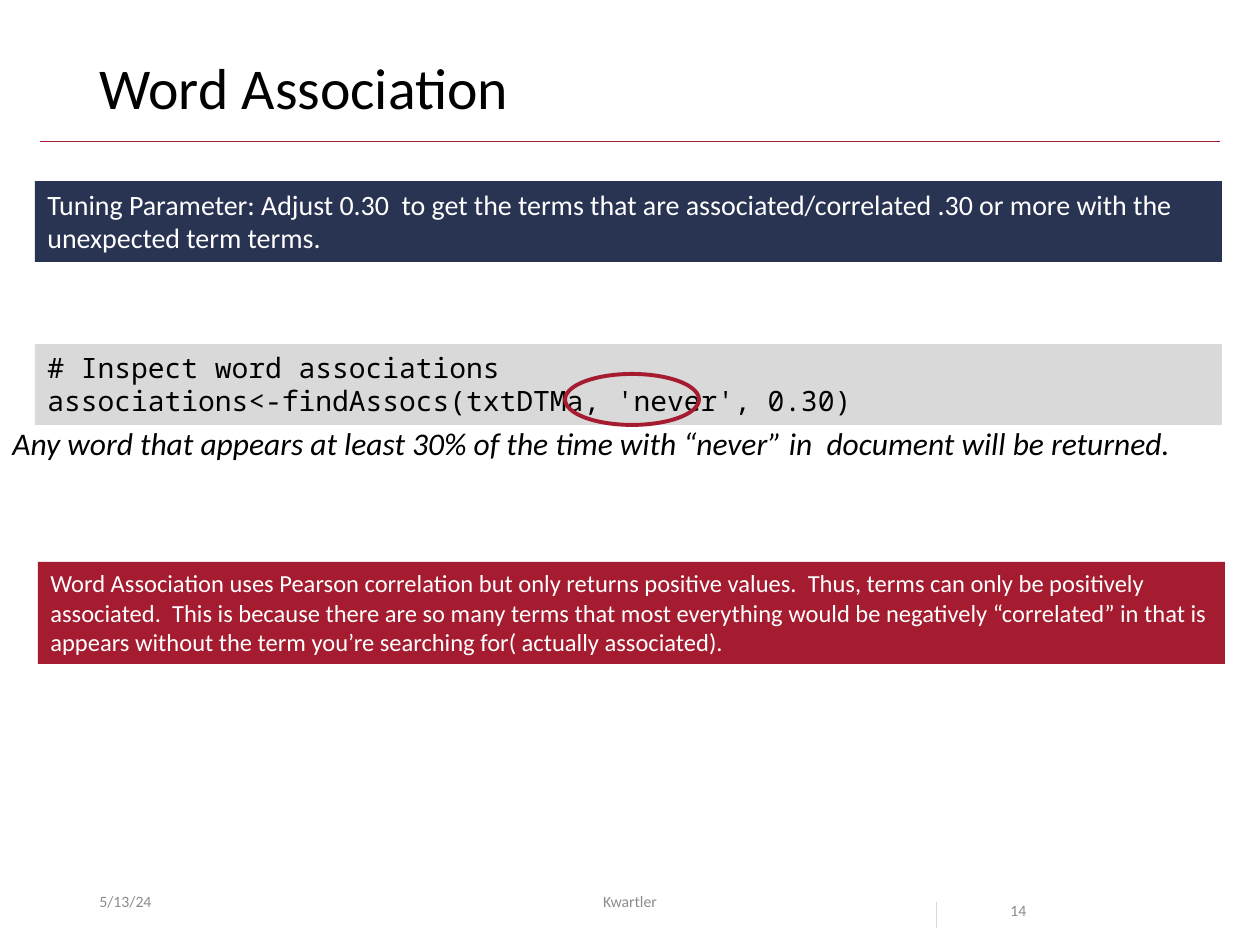
from pptx import Presentation
from pptx import util as u
from pptx.dml.color import RGBColor
from pptx.enum import shapes, text
from pptx.oxml.ns import qn
from lxml import etree

SCALE = 914400 / 126
CRIMSON, NAVY, GREY = "A51C30", "293352", "D9D9D9"
BLACK, WHITE, MUTED = "000000", "FFFFFF", "8C8C8C"


def px(*lengths):
    return [u.Emu(round(length * SCALE)) for length in lengths]


def colour(value):
    return RGBColor.from_string(value)


def format_text(frame, words, ink, frame_format=None, para_format=None, **font_format):
    for name, value in {"word_wrap": True, **(frame_format or {})}.items():
        setattr(frame, name, value)
    frame.text = words
    for para in frame.paragraphs:
        for name, value in {"alignment": text.PP_ALIGN.LEFT, **(para_format or {})}.items():
            setattr(para, name, value)
        for name, value in {"name": "Calibri", **font_format}.items():
            setattr(para.font, name, value)
        para.font.color.rgb = colour(ink)


def add_rule(page, ends, ink):
    rule = page.shapes.add_connector(shapes.MSO_CONNECTOR.STRAIGHT, *px(*ends))
    rule.line.color.rgb = colour(ink)
    rule.line.width = u.Pt(0.5)
    etree.SubElement(rule._element.spPr, qn("a:effectLst"))


def add_title(page, box, words):
    left, top, width, height = box
    title = page.shapes.title
    title.left, title.top, title.width, title.height = px(*box)
    format_text(title.text_frame, words, BLACK,
                {"vertical_anchor": text.MSO_ANCHOR.MIDDLE, "auto_size": text.MSO_AUTO_SIZE.NONE},
                {"line_spacing": 0.9}, size=u.Pt(33))
    add_rule(page, (left - 47, top + 91, left + width + 47, top + 91), CRIMSON)


def add_banner(parent, box, words, fill, ink, **font_format):
    banner = parent.shapes.add_shape(shapes.MSO_SHAPE.RECTANGLE, *px(*box))
    banner.shadow.inherit = False
    banner.fill.solid()
    banner.fill.fore_color.rgb = colour(fill)
    banner.line.fill.background()
    format_text(banner.text_frame, words, ink,
                {"auto_size": text.MSO_AUTO_SIZE.SHAPE_TO_FIT_TEXT,
                 "vertical_anchor": text.MSO_ANCHOR.TOP}, **font_format)


def add_code(page, box, words):
    left, top, width, height = box
    group = page.shapes.add_group_shape()
    add_banner(group, box, words, GREY, BLACK, name="Noto Sans Mono", size=u.Pt(16))
    ring = group.shapes.add_shape(shapes.MSO_SHAPE.OVAL, *px(left + 530, top + 30, 134, 51))
    ring.shadow.inherit = False
    ring.fill.background()
    ring.line.color.rgb = colour(CRIMSON)
    ring.line.width = u.Pt(2.25)


def add_label(page, box, words, ink, frame_format=None, para_format=None, **font_format):
    label = page.shapes.add_textbox(*px(*box))
    format_text(label.text_frame, words, ink, frame_format, para_format, **font_format)


def add_footer(page, box):
    left, top, width, height = box
    middle = {"vertical_anchor": text.MSO_ANCHOR.MIDDLE}
    parts = [
        (0, 284, "5/13/24", middle, {}),
        (330, 426, "Kwartler", middle, {"alignment": text.PP_ALIGN.CENTER}),
        (911, 118, "14", {}, {"line_spacing": 2.0}),
    ]
    for offset, part_width, words, frame_format, para_format in parts:
        add_label(page, (left + offset, top, part_width, height), words, MUTED,
                  frame_format, para_format, size=u.Pt(9))
    add_rule(page, (left + 849, top + 26, left + 849, top + 52), GREY)


def main():
    deck = Presentation()
    deck.slide_width, deck.slide_height = px(1260, 945)
    page = deck.slides.add_slide(deck.slide_layouts[5])
    add_title(page, (87, 50, 1086, 82), "Word Association")
    add_footer(page, (87, 876, 1086, 50))
    add_banner(page, (38, 562, 1187, 102),
               "Word Association uses Pearson correlation but only returns positive values.  "
               "Thus, terms can only be positively associated.  This is because there are so many "
               "terms that most everything would be negatively “correlated” in that is appears "
               "without the term you’re searching for( actually associated).",
               CRIMSON, WHITE, size=u.Pt(14))
    add_code(page, (35, 344, 1187, 81),
             "# Inspect word associations\nassociations<-findAssocs(txtDTMa, 'never', 0.30)")
    add_banner(page, (35, 181, 1187, 81),
               "Tuning Parameter: Adjust 0.30  to get the terms that are associated/correlated "
               ".30 or more with the unexpected term terms.", NAVY, WHITE, size=u.Pt(16))
    add_label(page, (0, 418, 1197, 50),
              "Any word that appears at least 30% of the time with “never” in  document "
              "will be returned.", BLACK,
              {"word_wrap": False, "auto_size": text.MSO_AUTO_SIZE.SHAPE_TO_FIT_TEXT},
              size=u.Pt(18), italic=True)
    deck.save("out.pptx")


if __name__ == "__main__":
    main()
